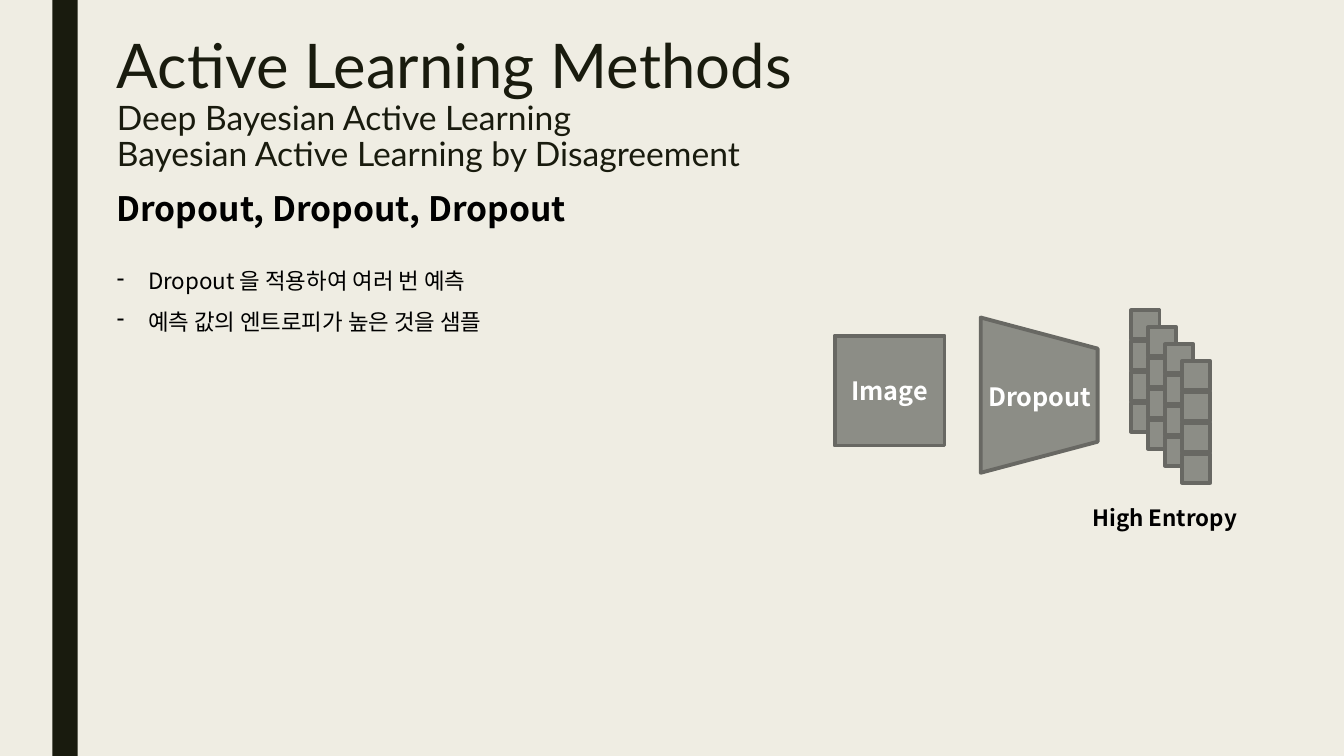
from lxml.etree import SubElement
from pptx import Presentation
from pptx.dml.color import RGBColor
from pptx.enum.shapes import MSO_SHAPE
from pptx.enum.text import MSO_ANCHOR, MSO_AUTO_SIZE, PP_ALIGN
from pptx.oxml.ns import qn
from pptx.util import Inches, Pt

COLORS = {
    "background": "EFEDE3",
    "dark": "191B0E",
    "black": "000000",
    "white": "FFFFFF",
    "block": "8C8D86",
    "edge": "686863",
}
COLUMNS, ROWS = 160, 90
CELL = Inches(13.3333) / COLUMNS
KOREAN = "Noto Sans CJK KR"


def rgb(name):
    return RGBColor.from_string(COLORS[name])


def to_grid(*cells):
    return [round(cell * CELL) for cell in cells]


def place(shape, box):
    shape.left, shape.top, shape.width, shape.height = to_grid(*box)
    return shape


def write(shape, paragraphs, font=KOREAN, color="black", bold=False,
          align=PP_ALIGN.LEFT, anchor=MSO_ANCHOR.TOP, spacing=1.2,
          proportional=False, dash=False):
    frame = shape.text_frame
    frame.word_wrap = True
    frame.auto_size = MSO_AUTO_SIZE.NONE
    frame.vertical_anchor = anchor
    for index, lines in enumerate(paragraphs):
        paragraph = frame.add_paragraph() if index else frame.paragraphs[0]
        paragraph.alignment = align
        paragraph.space_before = Pt(0)
        paragraph.line_spacing = spacing if proportional else Pt(spacing * lines[0][1])
        if dash:
            properties = paragraph._p.get_or_add_pPr()
            properties.set("marL", str(Inches(0.31)))
            properties.set("indent", str(-Inches(0.31)))
            SubElement(properties, qn("a:buFontTx"))
            SubElement(properties, qn("a:buChar"), char="-")
        for number, (text, size) in enumerate(lines):
            if number:
                paragraph.add_line_break()
                line_break = paragraph._p.findall(qn("a:br"))[-1]
                SubElement(line_break, qn("a:rPr"), sz=str(lines[number - 1][1] * 100))
            run = paragraph.add_run()
            run.text = text
            run.font.size = Pt(size)
            run.font.bold = bold
            run.font.color.rgb = rgb(color)
            run.font.name = font
            SubElement(run._r.get_or_add_rPr(), qn("a:ea"), typeface=font)


def add_block(shapes, kind, box, fill="block", edge="edge"):
    block = shapes.add_shape(kind, *to_grid(*box))
    block.shadow.inherit = False
    block.fill.solid()
    block.fill.fore_color.rgb = rgb(fill)
    if edge:
        block.line.color.rgb = rgb(edge)
        block.line.width = Pt(2.75)
    else:
        block.line.fill.background()
    return block


def add_label(slide, box, text, size, **style):
    label = slide.shapes.add_textbox(*to_grid(*box))
    write(label, [[(text, size)]], bold=True, **style)


def add_header(slide, box):
    left, top, width, height = box
    title = place(slide.shapes.title, (left, top, width, 18.5))
    write(title, [[("Active Learning Methods", 44),
                   ("Deep Bayesian Active Learning", 24),
                   ("Bayesian Active Learning by Disagreement", 24)]],
          font="Lato", color="dark", anchor=MSO_ANCHOR.MIDDLE,
          spacing=0.89, proportional=True)
    add_label(slide, (left, top + 18.6, 68.4, height - 18.6),
              "Dropout, Dropout, Dropout", 24)


def add_points(slide, box):
    points = place(slide.placeholders[1], box)
    write(points, [[("Dropout 을 적용하여 여러 번 예측", 16)],
                   [("예측 값의 엔트로피가 높은 것을 샘플", 16)]],
          spacing=1.8, dash=True)


def add_predictions(slide, box, strips=4, cells=4):
    left, top, width, height = box
    side, shift = 3.4, 2.02
    pitch = (height - side - (strips - 1) * shift) / (cells - 1)
    for strip in range(strips):
        group = slide.shapes.add_group_shape()
        for cell in range(cells):
            add_block(group.shapes, MSO_SHAPE.RECTANGLE,
                      (left + strip * shift, top + strip * shift + cell * pitch, side, side))


def add_pipeline(slide, box):
    left, top, width, height = box
    dropout = add_block(slide.shapes, MSO_SHAPE.FLOWCHART_MANUAL_OPERATION,
                        (left + 15.12, top + 3.12, 18.48, 13.92))
    dropout.rotation = 270
    add_predictions(slide, (left + 35.28, top, 9.46, 20.5))
    image = add_block(slide.shapes, MSO_SHAPE.RECTANGLE, (left, top + 3, 13.08, 13.08))
    write(image, [[("Image", 18)]], color="white", bold=True,
          align=PP_ALIGN.CENTER, anchor=MSO_ANCHOR.MIDDLE)
    add_label(slide, (left + width - 22.2, top + height - 4.44, 22.2, 4.44),
              "High Entropy", 16, align=PP_ALIGN.CENTER)
    add_label(slide, (left + 13.32, top + 7.8, 22.2, 4.8),
              "Dropout", 18, color="white", align=PP_ALIGN.CENTER)


def main():
    presentation = Presentation()
    presentation.slide_width, presentation.slide_height = to_grid(COLUMNS, ROWS)
    slide = presentation.slides.add_slide(presentation.slide_layouts[1])
    slide.background.fill.solid()
    slide.background.fill.fore_color.rgb = rgb("background")
    add_block(slide.shapes, MSO_SHAPE.RECTANGLE, (6.24, 0, 3, ROWS), fill="dark", edge=None)
    add_header(slide, (12.72, 3.24, 133.92, 24.6))
    add_points(slide, (12.72, 29.64, 67.32, 20.04))
    add_pipeline(slide, (99.36, 36.96, 50.4, 26.88))
    presentation.save("out.pptx")


if __name__ == "__main__":
    main()
